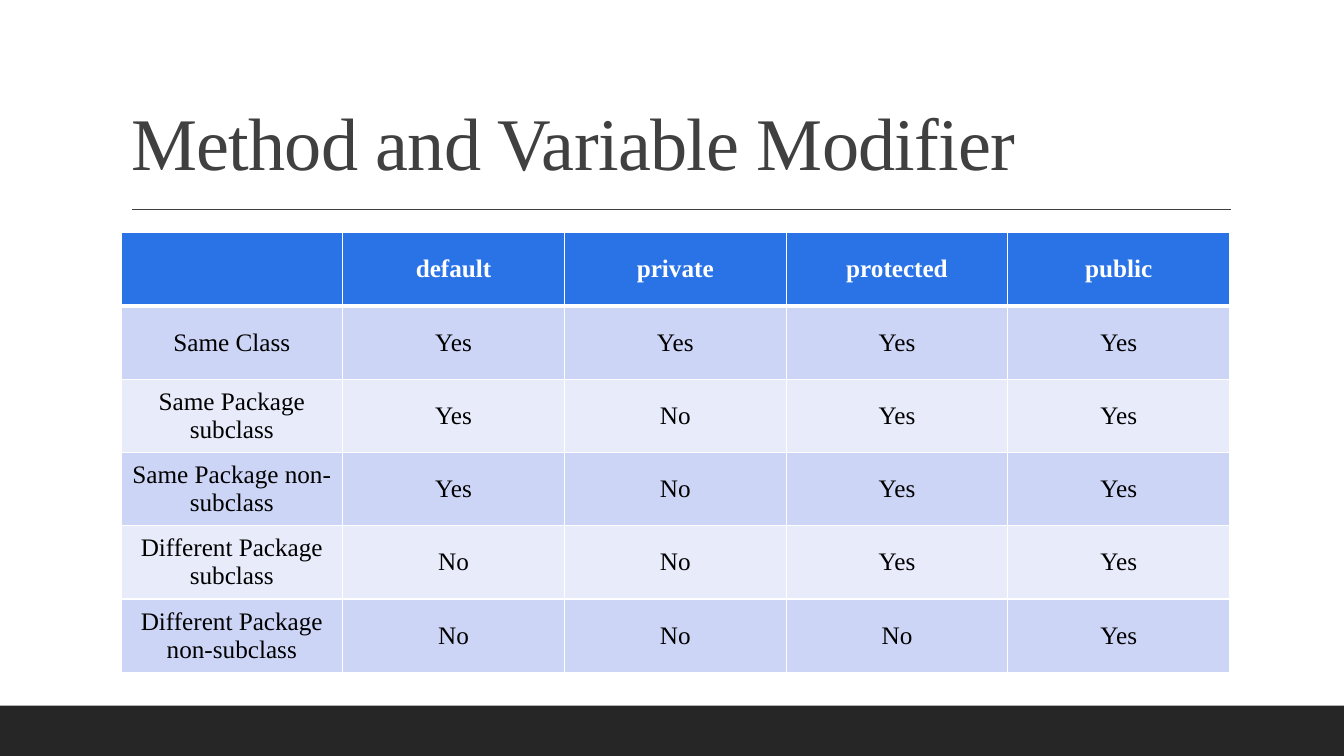
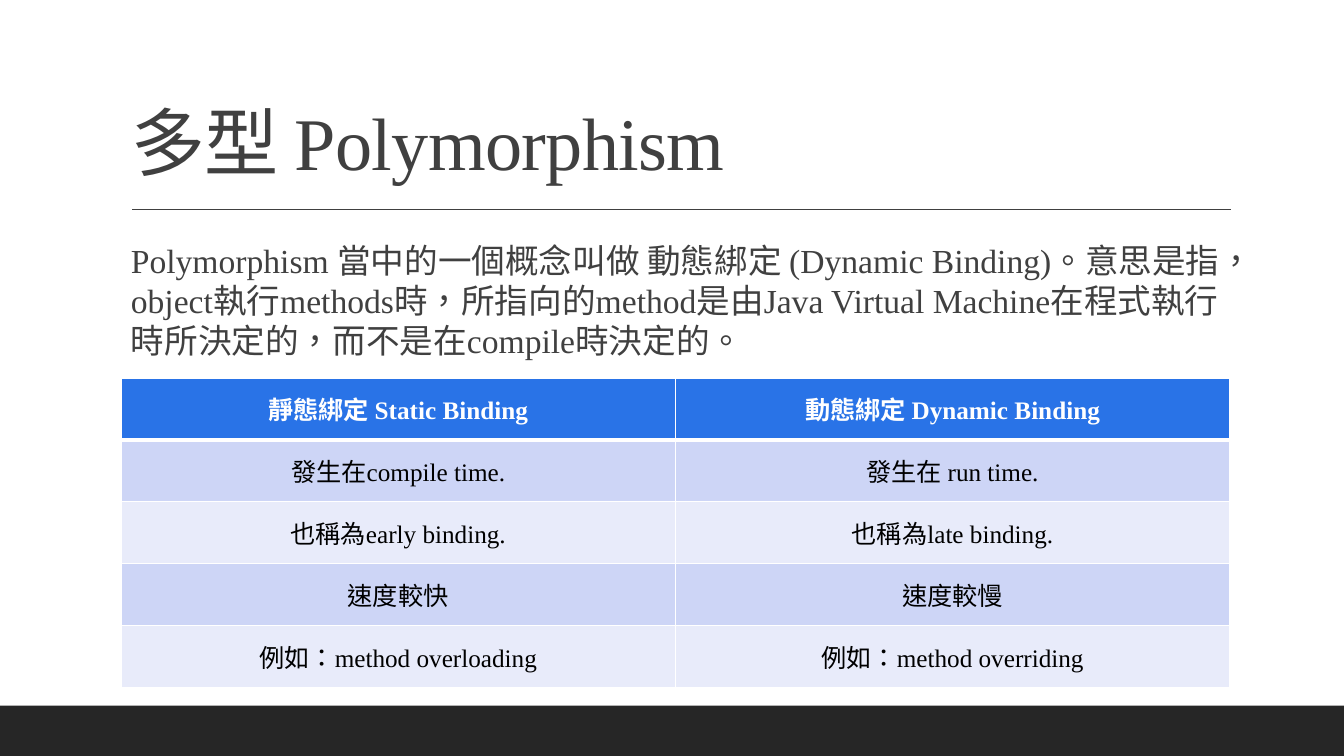
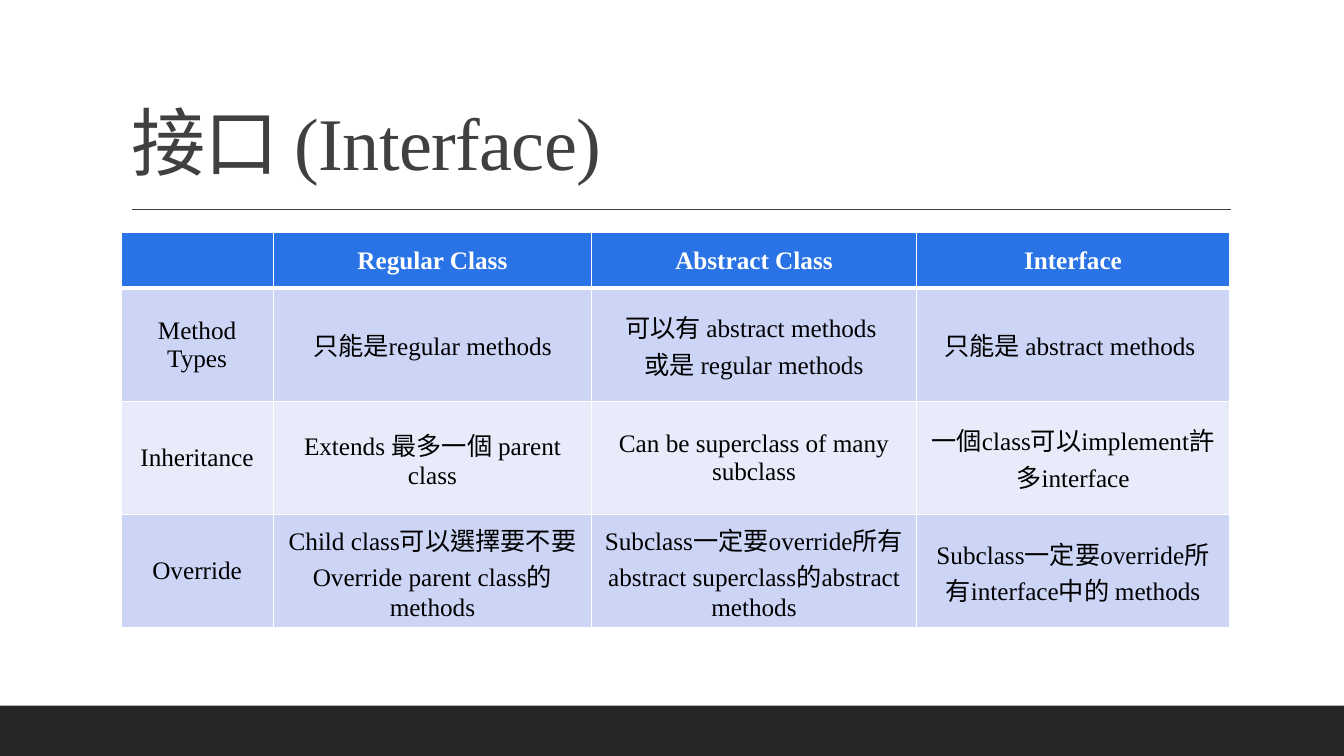
"""Build three Java slides: a title, a rule, a table and a dark foot band on each."""
from lxml import etree
from pptx import Presentation
from pptx.dml.color import RGBColor
from pptx.enum.lang import MSO_LANGUAGE_ID
from pptx.enum.shapes import MSO_CONNECTOR, MSO_SHAPE
from pptx.enum.text import MSO_ANCHOR, MSO_AUTO_SIZE, PP_ALIGN
from pptx.oxml.ns import qn
from pptx.util import Inches, Pt

MID, BASE = MSO_ANCHOR.MIDDLE, MSO_ANCHOR.BOTTOM
LEFT, MIDST = PP_ALIGN.LEFT, PP_ALIGN.CENTER
LINE, RECT = MSO_CONNECTOR.STRAIGHT, MSO_SHAPE.RECTANGLE
FIXED = MSO_AUTO_SIZE.NONE
LANG = MSO_LANGUAGE_ID.TRADITIONAL_CHINESE
FACE = "Times New Roman"
HUES = {"ink": "404040", "foot": "262626", "head": "2973E7", "odd": "CDD5F6",
        "even": "E8EBFA", "white": "FFFFFF", "black": "000000"}
WIDE, HIGH = Inches(13.33), Inches(7.5)
EDGE, SPAN, TOP = 9, 82.5, 30.8

PAGES = [
    {"title": "Method and Variable Modifier", "top": TOP,
     "cols": [SPAN / 5] * 5, "rows": [9.69] * 6,
     "cells": [
         ["", "default", "private", "protected", "public"],
         ["Same Class", "Yes", "Yes", "Yes", "Yes"],
         ["Same Package subclass", "Yes", "No", "Yes", "Yes"],
         ["Same Package non-subclass", "Yes", "No", "Yes", "Yes"],
         ["Different Package subclass", "No", "No", "Yes", "Yes"],
         ["Different Package non-subclass", "No", "No", "No", "Yes"]]},
    {"title": "多型 Polymorphism", "top": 50,
     "body": "Polymorphism 當中的一個概念叫做 動態綁定 (Dynamic Binding)。意思是指，"
             "object執行methods時，所指向的method是由Java Virtual Machine"
             "在程式執行時所決定的，而不是在compile時決定的。",
     "cols": [SPAN / 2] * 2, "rows": [8.19] * 5,
     "cells": [
         ["靜態綁定 Static Binding", "動態綁定 Dynamic Binding"],
         ["發生在compile time.", "發生在 run time."],
         ["也稱為early binding.", "也稱為late binding."],
         ["速度較快", "速度較慢"],
         ["例如：method overloading", "例如：method overriding"]]},
    {"title": "接口 (Interface)", "top": TOP,
     "cols": [11.33, 23.7, 24.15, 23.32], "rows": [7.33] + [14.98] * 3,
     "cells": [
         ["", "Regular Class", "Abstract Class", "Interface"],
         ["Method Types", "只能是regular methods",
          "可以有 abstract methods \v或是 regular methods", "只能是 abstract methods "],
         ["Inheritance", "Extends 最多一個 parent class",
          "Can be superclass of many subclass", "一個class可以implement許多interface"],
         ["Override", "Child class可以選擇要不要Override parent class的methods",
          "Subclass一定要override所有abstract superclass的abstract methods",
          "Subclass一定要override所有interface中的 methods"]]},
]


def place(*box):
    """Turn left, top, width and height in percent of the slide into lengths."""
    return [int(side * part / 100) for side, part in zip((WIDE, HIGH) * 2, box)]


def style(para, size, hue, align=LEFT, bold=False):
    """Set the look of a whole paragraph."""
    para.alignment = align
    font = para.font
    font.name, font.size, font.bold = FACE, Pt(size), bold
    font.language_id = LANG
    font.color.rgb = RGBColor.from_string(HUES[hue])


deck = Presentation()
deck.slide_width, deck.slide_height = WIDE, HIGH

for page in PAGES:
    slide = deck.slides.add_slide(deck.slide_layouts[5])
    shapes = slide.shapes

    foot = shapes.add_shape(RECT, *place(0, 93.33, 100, 6.67))
    foot.shadow.inherit = False
    foot.fill.solid()
    foot.fill.fore_color.rgb = RGBColor.from_string(HUES["foot"])
    foot.line.fill.background()

    rule = shapes.add_connector(LINE, *place(9.83, 27.73, 91.6, 27.73))
    rule.line.width = Pt(1)
    rule.line.color.rgb = RGBColor.from_string(HUES["ink"])
    etree.SubElement(rule._element.spPr, qn("a:effectLst"))

    title = shapes.title
    title.left, title.top, title.width, title.height = place(EDGE, 4.13, SPAN, 21.2)
    frame = title.text_frame
    frame.text = page["title"]
    frame.auto_size, frame.vertical_anchor = FIXED, BASE
    para = frame.paragraphs[0]
    style(para, 53, "ink")
    para.line_spacing = 0.9
    para._p.get_or_add_pPr().get_or_add_defRPr().set("spc", "-50")

    if "body" in page:
        frame = shapes.add_textbox(*place(EDGE, TOP, SPAN, 18)).text_frame
        frame.word_wrap = True
        frame.margin_right, frame.margin_top = 0, Inches(0.07)
        frame.text = page["body"]
        para = frame.paragraphs[0]
        style(para, 24, "ink")
        para.line_spacing = Pt(28.6)

    cols, rows = page["cols"], page["rows"]
    box = place(EDGE, page["top"], SPAN, sum(rows))
    table = shapes.add_table(len(rows), len(cols), *box).table
    for col, part in zip(table.columns, cols):
        col.width = int(WIDE * part / 100)
    for r, (row, part) in enumerate(zip(table.rows, rows)):
        row.height = int(HIGH * part / 100)
        band = "head" if r == 0 else "odd" if r % 2 else "even"
        for cell, text in zip(row.cells, page["cells"][r]):
            cell.text = text
            cell.vertical_anchor = MID
            hue = "black" if r else "white"
            style(cell.text_frame.paragraphs[0], 18, hue, MIDST, r == 0)
            props = cell._tc.get_or_add_tcPr()
            for side in "LRTB":
                thick = (r, side) in ((0, "B"), (1, "T"))
                edge = etree.SubElement(props, qn("a:ln" + side), w=str(Pt(3 if thick else 1)))
                fill = etree.SubElement(edge, qn("a:solidFill"))
                etree.SubElement(fill, qn("a:srgbClr"), val=HUES["white"])
            cell.fill.solid()
            cell.fill.fore_color.rgb = RGBColor.from_string(HUES[band])

deck.save("out.pptx")
